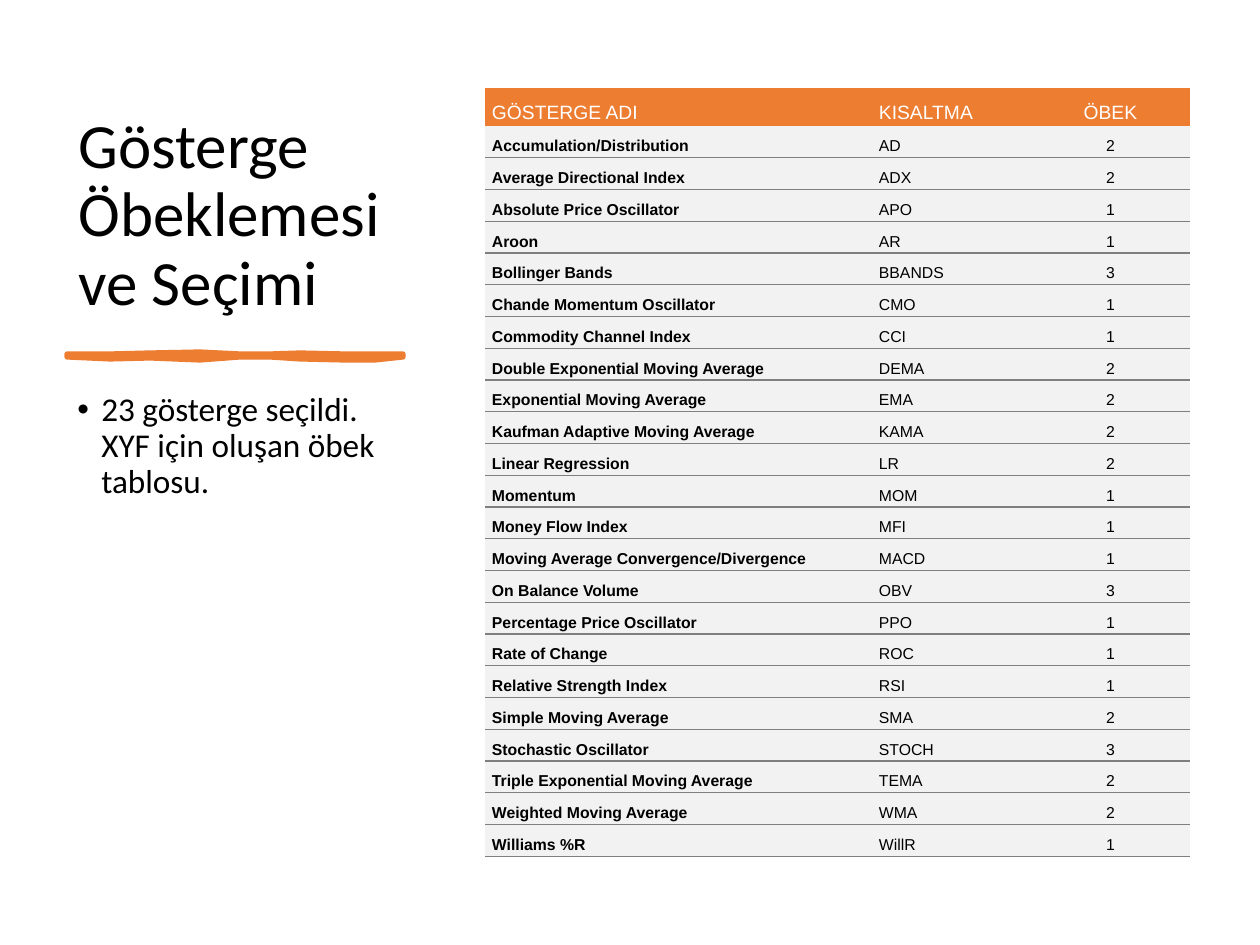
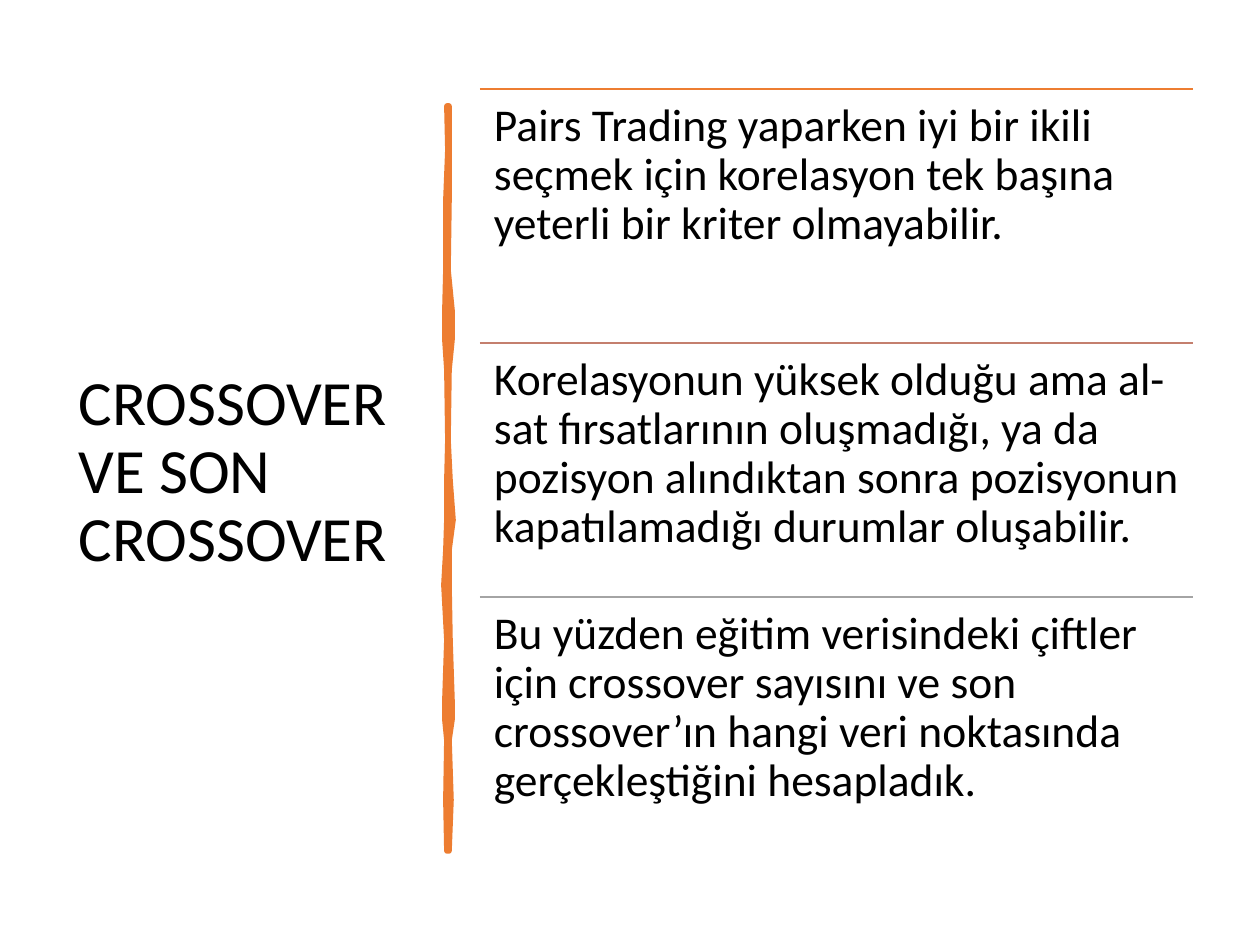
"""Build two slides: an indicator cluster table and the crossover criteria."""
from lxml import etree
from pptx import Presentation
from pptx.dml.color import RGBColor
from pptx.enum.shapes import MSO_CONNECTOR
from pptx.enum.text import MSO_ANCHOR, MSO_AUTO_SIZE, PP_ALIGN
from pptx.oxml.ns import qn
from pptx.util import Emu, Pt

LEFT, CENTER = PP_ALIGN.LEFT, PP_ALIGN.CENTER
TOP, MIDDLE, BOTTOM = MSO_ANCHOR.TOP, MSO_ANCHOR.MIDDLE, MSO_ANCHOR.BOTTOM
NO_AUTOFIT = MSO_AUTO_SIZE.NONE
STRAIGHT = MSO_CONNECTOR.STRAIGHT

PX = 914400 / 126
SLIDE_SIZE = (1260, 945)
TITLE_ONLY = 5
COLORS = {
    "accent": "ED7D31", "rose": "C47F6E", "gray": "A4A4A4",
    "rule": "7F7F7F", "row": "F2F2F2", "text": "000000", "header_text": "FFFFFF",
}

CLUSTER_TITLE = "Gösterge Öbeklemesi ve Seçimi"
CLUSTER_NOTE = "23 gösterge seçildi. XYF için oluşan öbek tablosu."
HEADER = ("GÖSTERGE ADI", "KISALTMA", "ÖBEK")
INDICATORS = [
    ("Accumulation/Distribution", "AD", 2),
    ("Average Directional Index", "ADX", 2),
    ("Absolute Price Oscillator", "APO", 1),
    ("Aroon", "AR", 1),
    ("Bollinger Bands", "BBANDS", 3),
    ("Chande Momentum Oscillator", "CMO", 1),
    ("Commodity Channel Index", "CCI", 1),
    ("Double Exponential Moving Average", "DEMA", 2),
    ("Exponential Moving Average", "EMA", 2),
    ("Kaufman Adaptive Moving Average", "KAMA", 2),
    ("Linear Regression", "LR", 2),
    ("Momentum", "MOM", 1),
    ("Money Flow Index", "MFI", 1),
    ("Moving Average Convergence/Divergence", "MACD", 1),
    ("On Balance Volume", "OBV", 3),
    ("Percentage Price Oscillator", "PPO", 1),
    ("Rate of Change", "ROC", 1),
    ("Relative Strength Index", "RSI", 1),
    ("Simple Moving Average", "SMA", 2),
    ("Stochastic Oscillator", "STOCH", 3),
    ("Triple Exponential Moving Average", "TEMA", 2),
    ("Weighted Moving Average", "WMA", 2),
    ("Williams %R", "WillR", 1),
]
COLUMN_WIDTHS = (387, 159, 159)
TABLE_LEFT, TABLE_TOP = 485, 88
HEADER_HEIGHT, BODY_HEIGHT = 38, 731

CROSSOVER_TITLE = "CROSSOVER VE SON CROSSOVER"
CRITERIA = [
    ("accent", "Pairs Trading yaparken iyi bir ikili seçmek için korelasyon tek başına "
               "yeterli bir kriter olmayabilir."),
    ("rose", "Korelasyonun yüksek olduğu ama al-sat fırsatlarının oluşmadığı, ya da "
             "pozisyon alındıktan sonra pozisyonun kapatılamadığı durumlar oluşabilir."),
    ("gray", "Bu yüzden eğitim verisindeki çiftler için crossover sayısını ve son "
             "crossover’ın hangi veri noktasında gerçekleştiğini hesapladık."),
]
CRITERIA_LEFT, CRITERIA_TOP, CRITERIA_WIDTH, CRITERIA_STEP = 480, 89, 713, 254

HORIZONTAL_STROKE = [
    (67, 354, 357), (110, 354, 359), (150, 353, 358), (200, 352, 360), (240, 354, 357),
    (270, 354, 357), (300, 353, 359), (345, 354, 360), (375, 354, 360), (403, 354, 357),
]
VERTICAL_STROKE = [
    (106, 447, 449), (150, 448, 449), (200, 446, 449), (270, 446, 448), (310, 445, 452),
    (340, 445, 452), (370, 447, 449), (440, 448, 448), (480, 447, 450), (520, 447, 453),
    (550, 446, 449), (585, 444, 449), (640, 447, 450), (700, 445, 452), (720, 445, 452),
    (740, 447, 449), (800, 446, 451), (851, 447, 449),
]


def px(length):
    return Emu(round(length * PX))


def rgb(name):
    return RGBColor.from_string(COLORS[name])


def write(frame, text, size, font="Calibri", color="text", bold=False, align=LEFT, spacing=0.9):
    frame.text = text
    para = frame.paragraphs[0]
    para.alignment, para.line_spacing = align, spacing
    span = para.runs[0].font
    span.name, span.size, span.bold = font, Pt(size), bold
    span.color.rgb = rgb(color)
    return para


def add_titled_slide(deck, title, height, anchor):
    page = deck.slides.add_slide(deck.slide_layouts[TITLE_ONLY])
    box = page.shapes.title
    box.left, box.top, box.width, box.height = map(px, (66, 88, 354, height))
    frame = box.text_frame
    frame.auto_size, frame.vertical_anchor, frame.word_wrap = NO_AUTOFIT, anchor, True
    write(frame, title, 36)
    return page


def add_text_box(page, left, top, width, height):
    frame = page.shapes.add_textbox(*map(px, (left, top, width, height))).text_frame
    frame.word_wrap = True
    return frame


def add_brush(page, stroke, vertical, weight):
    outline = [(along, near) for along, near, _ in stroke]
    outline += [(along, far) for along, _, far in reversed(stroke)]
    if vertical:
        outline = [(across, along) for along, across in outline]
    builder = page.shapes.build_freeform(*outline[0], scale=PX)
    builder.add_line_segments(outline[1:], close=True)
    brush = builder.convert_to_shape()
    brush.shadow.inherit = False
    brush.fill.solid()
    brush.fill.fore_color.rgb = rgb("accent")
    brush.line.color.rgb = rgb("accent")
    brush.line.width = Pt(weight)


def add_bullet(para):
    properties = para._p.get_or_add_pPr()
    properties.set("marL", str(px(24)))
    properties.set("indent", str(-px(24)))
    etree.SubElement(properties, qn("a:buFont"), typeface="Arial")
    etree.SubElement(properties, qn("a:buChar"), char="•")


def set_borders(cell, ruled):
    properties = cell._tc.get_or_add_tcPr()
    for side in ("lnL", "lnR", "lnT", "lnB"):
        line = etree.SubElement(properties, qn(f"a:{side}"), w=str(Pt(0.75)))
        if side in ruled:
            fill = etree.SubElement(line, qn("a:solidFill"))
            etree.SubElement(fill, qn("a:srgbClr"), val=COLORS["rule"])
        else:
            etree.SubElement(line, qn("a:noFill"))


def add_indicator_table(page):
    rows = [HEADER] + INDICATORS
    size = (sum(COLUMN_WIDTHS), HEADER_HEIGHT + BODY_HEIGHT)
    table = page.shapes.add_table(
        len(rows), len(HEADER), *map(px, (TABLE_LEFT, TABLE_TOP, *size))).table
    table.horz_banding = False
    for column, width in zip(table.columns, COLUMN_WIDTHS):
        column.width = px(width)
    for r, values in enumerate(rows):
        header = r == 0
        table.rows[r].height = px(HEADER_HEIGHT if header else BODY_HEIGHT / len(INDICATORS))
        ruled = [side for side, first in (("lnT", 2), ("lnB", 1)) if r >= first]
        for c, value in enumerate(values):
            cell = table.cell(r, c)
            set_borders(cell, ruled)
            cell.fill.solid()
            cell.fill.fore_color.rgb = rgb("accent" if header else "row")
            cell.margin_left = cell.margin_right = px(7)
            cell.margin_top, cell.margin_bottom = px(9), 0
            cell.vertical_anchor = MIDDLE if header else TOP
            write(cell.text_frame, str(value), 11 if header else 9, "Arial",
                  "header_text" if header else "text", bold=not header and c == 0,
                  align=CENTER if c == 2 else LEFT, spacing=1.15)


def add_criterion(page, top, color, text):
    right = CRITERIA_LEFT + CRITERIA_WIDTH
    rule = page.shapes.add_connector(STRAIGHT, *map(px, (CRITERIA_LEFT, top, right, top)))
    rule.line.color.rgb = rgb(color)
    rule.line.width = Pt(1)
    etree.SubElement(rule._element.spPr, qn("a:effectLst"))
    frame = add_text_box(page, CRITERIA_LEFT, top, CRITERIA_WIDTH, CRITERIA_STEP)
    frame.margin_left, frame.margin_right = px(14), px(8)
    frame.margin_top = frame.margin_bottom = px(13)
    write(frame, text, 26)


def main():
    deck = Presentation()
    deck.slide_width, deck.slide_height = map(px, SLIDE_SIZE)

    page = add_titled_slide(deck, CLUSTER_TITLE, 237, BOTTOM)
    add_brush(page, HORIZONTAL_STROKE, False, 3)
    add_bullet(write(add_text_box(page, 65, 387, 354, 470), CLUSTER_NOTE, 19))
    add_indicator_table(page)

    page = add_titled_slide(deck, CROSSOVER_TITLE, 770, MIDDLE)
    add_brush(page, VERTICAL_STROKE, True, 3.25)
    for index, (color, text) in enumerate(CRITERIA):
        add_criterion(page, CRITERIA_TOP + index * CRITERIA_STEP, color, text)

    deck.save("out.pptx")


if __name__ == "__main__":
    main()
